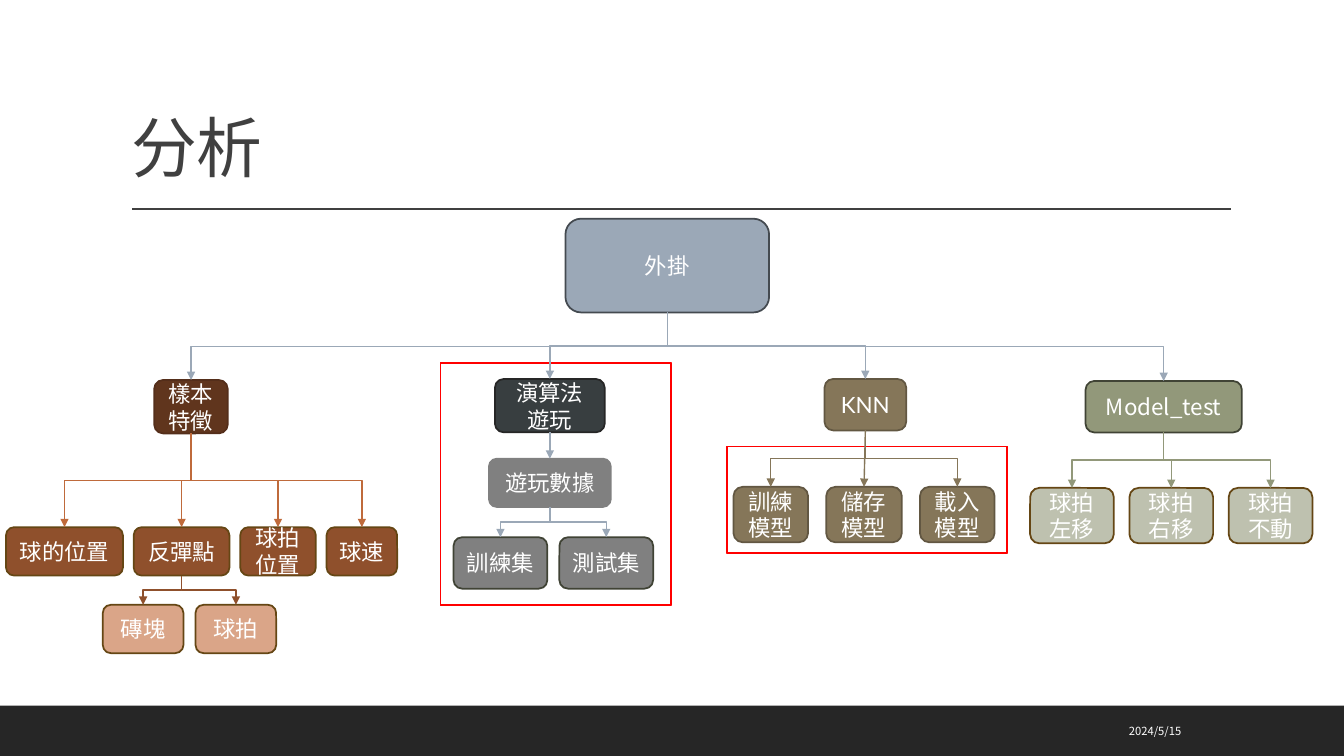
from dataclasses import dataclass
from lxml.etree import SubElement
from pptx import Presentation
from pptx.dml.color import RGBColor
from pptx.enum.shapes import MSO_CONNECTOR, MSO_SHAPE
from pptx.enum.text import MSO_ANCHOR, MSO_AUTO_SIZE, PP_ALIGN
from pptx.oxml.ns import qn
from pptx.util import Inches, Pt


@dataclass(frozen=True)
class Theme:
    han: str = "Noto Sans CJK SC"
    date: str = "Noto Sans CJK TC"
    latin: str = "Lato"
    title: int = 47
    body: int = 16
    small: int = 8
    thin: float = 1
    edge: float = 1.25
    white: str = "FFFFFF"
    ink: str = "404040"
    bar: str = "262626"
    red: str = "FF0000"
    steel: str = "9BA8B7"
    rust: str = "BF6A3B"
    brown: str = "8F502C"
    olive: str = "857659"
    sage: str = "92987A"
    # Fill and outline of each kind of node
    root: tuple = ("9BA8B7", "444A50")
    sample: tuple = ("60351D", "542E1A")
    trait: tuple = ("8F502C", "654614")
    hit: tuple = ("DAA588", "654614")
    play: tuple = ("383E40", "262626")
    data: tuple = ("808080", "808080")
    split: tuple = ("808080", "404335")
    knn: tuple = ("857659", "625742")
    test: tuple = ("92987A", "404335")
    move: tuple = ("BEC1AF", "654614")


T = Theme()
WIDE, HIGH = Inches(13.33), Inches(7.5)
COLS, ROWS = 40, 30  # the slide's grid


def place(x, y, w, h, box=(0, 0)):
    """Turn columns and rows, counted from a box, into lengths."""
    col, row = WIDE / COLS, HIGH / ROWS
    return [round(v) for v in
            ((box[0] + x) * col, (box[1] + y) * row, w * col, h * row)]


def write(shape, text, size=T.body, font=T.han, color=T.white,
          align=PP_ALIGN.CENTER, anchor=MSO_ANCHOR.MIDDLE, pitch=None, track=None):
    frame = shape.text_frame
    frame.word_wrap = True
    frame.auto_size = MSO_AUTO_SIZE.NONE
    frame.vertical_anchor = anchor
    frame.text = text
    for para in frame.paragraphs:
        para.alignment = align
        para.line_spacing = pitch
        for run in para.runs:
            run.font.size, run.font.name = Pt(size), font
            run.font.color.rgb = RGBColor.from_string(color)
            props = run.font._element
            SubElement(props, qn("a:ea")).set("typeface", T.han if font == T.latin else font)
            if track:
                props.set("spc", str(track))


def draw(slide, kind, spot, fill, edge=None):
    shape = slide.shapes.add_shape(kind, *spot)
    shape.shadow.inherit = False
    shape.fill.solid()
    shape.fill.fore_color.rgb = RGBColor.from_string(fill)
    if edge:
        shape.line.color.rgb = RGBColor.from_string(edge)
        shape.line.width = Pt(T.edge)
    else:
        shape.line.fill.background()
    return shape


def node(slide, box, text, spot, look, font=T.han):
    shape = draw(slide, MSO_SHAPE.ROUNDED_RECTANGLE, place(*spot, box), *look)
    write(shape, text, font=font)
    return shape


def spread(slide, box, texts, widths, spot, look, font=T.han):
    """Set nodes side by side with equal gaps across the spot."""
    x, y, span, h = spot
    gap = (span - sum(widths)) / (len(widths) - 1)
    nodes = []
    for text, w in zip(texts, widths):
        nodes.append(node(slide, box, text, (x, y, w, h), look, font))
        x += w + gap
    return nodes


def outline(slide, box, spot):
    shape = draw(slide, MSO_SHAPE.FRAME, place(*spot, box), T.red, T.red)
    shape.adjustments[0] = 0


def stroke(line, color):
    line.line.color.rgb = RGBColor.from_string(color)
    line.line.width = Pt(T.thin)
    SubElement(line._element.spPr, qn("a:effectLst"))


def link(slide, top, ends, color):
    """Join the foot of one node to the heads of others by arrows."""
    for end in ends:
        x, y = top.left + top.width // 2, top.top + top.height
        to, drop = end.left + end.width // 2, end.top - y
        bent = abs(to - x) > Inches(0.03)
        kind = MSO_CONNECTOR.ELBOW if bent else MSO_CONNECTOR.STRAIGHT
        line = slide.shapes.add_connector(kind, x, y, to, end.top)
        line.begin_connect(top, 2)
        line.end_connect(end, 0)
        if bent:  # a quarter turn makes the elbow leave downwards
            side = abs(to - x)
            line.left = (x + to - drop) // 2
            line.top = y + (drop - side) // 2
            line.width, line.height = drop, side
            turn = line._element.spPr.find(qn("a:xfrm"))
            turn.set("rot", str((270 if to > x else 90) * 60000))
            turn.set("flipH", "1" if to > x else "0")
        stroke(line, color)
        SubElement(line.line._get_or_add_ln(), qn("a:tailEnd")).set("type", "triangle")


# Title, rule, bottom bar and date
def base(slide):
    draw(slide, MSO_SHAPE.RECTANGLE, place(0, 28, 40, 2), T.bar)
    x, y, w, _ = place(3.93, 8.3, 32.7, 0)
    stroke(slide.shapes.add_connector(MSO_CONNECTOR.STRAIGHT, x, y, x + w, y), T.ink)
    title = slide.shapes.title
    title.left, title.top, title.width, title.height = place(3.6, 1.24, 33, 6.36)
    write(title, "分析", size=T.title, color=T.ink, align=PP_ALIGN.LEFT,
          anchor=MSO_ANCHOR.BOTTOM, pitch=0.9, track=-50)
    date = slide.shapes.add_textbox(*place(26.97, 28.2, 8.49, 1.6))
    write(date, "2024/5/15", size=T.small, font=T.date, align=PP_ALIGN.RIGHT)


# Sample features
def sample(slide, box):
    head = node(slide, box, "樣本\n特徵", (4.41, 0, 2.19, 2.12), T.sample)
    traits = spread(slide, box, ("球的位置", "反彈點", "球拍\n位置", "球速"),
                    (3.48, 2.85, 2.25, 2.1), (0, 5.84, 11.64, 1.92), T.trait)
    hits = spread(slide, box, ("磚塊", "球拍"), (2.4, 2.4),
                  (2.88, 8.92, 5.16, 1.92), T.hit)
    link(slide, head, traits, T.rust)
    link(slide, traits[1], hits, T.brown)
    return head


# Play by algorithm
def play(slide, box):
    outline(slide, box, (0, 0, 6.87, 9.6))
    head = node(slide, box, "演算法遊玩", (1.62, 0.64, 3.27, 2.12), T.play)
    data = node(slide, box, "遊玩數據", (1.44, 3.8, 3.63, 1.92), T.data)
    sets = spread(slide, box, ("訓練集", "測試集"), (2.79, 2.79),
                  (0.39, 6.92, 5.94, 2.04), T.split)
    link(slide, head, [data], T.steel)
    link(slide, data, sets, T.steel)
    return head


# KNN model
def knn(slide, box):
    head = node(slide, box, "KNN", (2.91, 0, 2.43, 2.04), T.knn, T.latin)
    outline(slide, box, (0, 2.68, 8.34, 4.24))
    steps = spread(slide, box, ("訓練\n模型", "儲存\n模型", "載入\n模型"),
                   (2.22, 2.25, 2.22), (0.2, 4.28, 7.77, 2.2), T.knn, T.latin)
    link(slide, head, steps, T.olive)
    return head


# Model test
def test(slide, box):
    head = node(slide, box, "Model_test", (1.65, 0, 4.65, 2.04), T.test)
    moves = spread(slide, box, ("球拍\n左移", "球拍\n右移", "球拍\n不動"),
                   (2.49,) * 3, (0, 4.24, 8.4, 2.2), T.move)
    link(slide, head, moves, T.sage)
    return head


def main():
    deck = Presentation()
    deck.slide_width, deck.slide_height = WIDE, HIGH
    slide = deck.slides.add_slide(deck.slide_layouts[5])
    base(slide)
    root = node(slide, (16.83, 8.68), "外掛", (0, 0, 6.06, 3.72), T.root)
    heads = [sample(slide, (0.18, 15.08)), play(slide, (13.11, 14.4)),
             knn(slide, (21.63, 15.04)), test(slide, (30.66, 15.12))]
    link(slide, root, heads, T.steel)
    deck.save("out.pptx")


if __name__ == "__main__":
    main()
